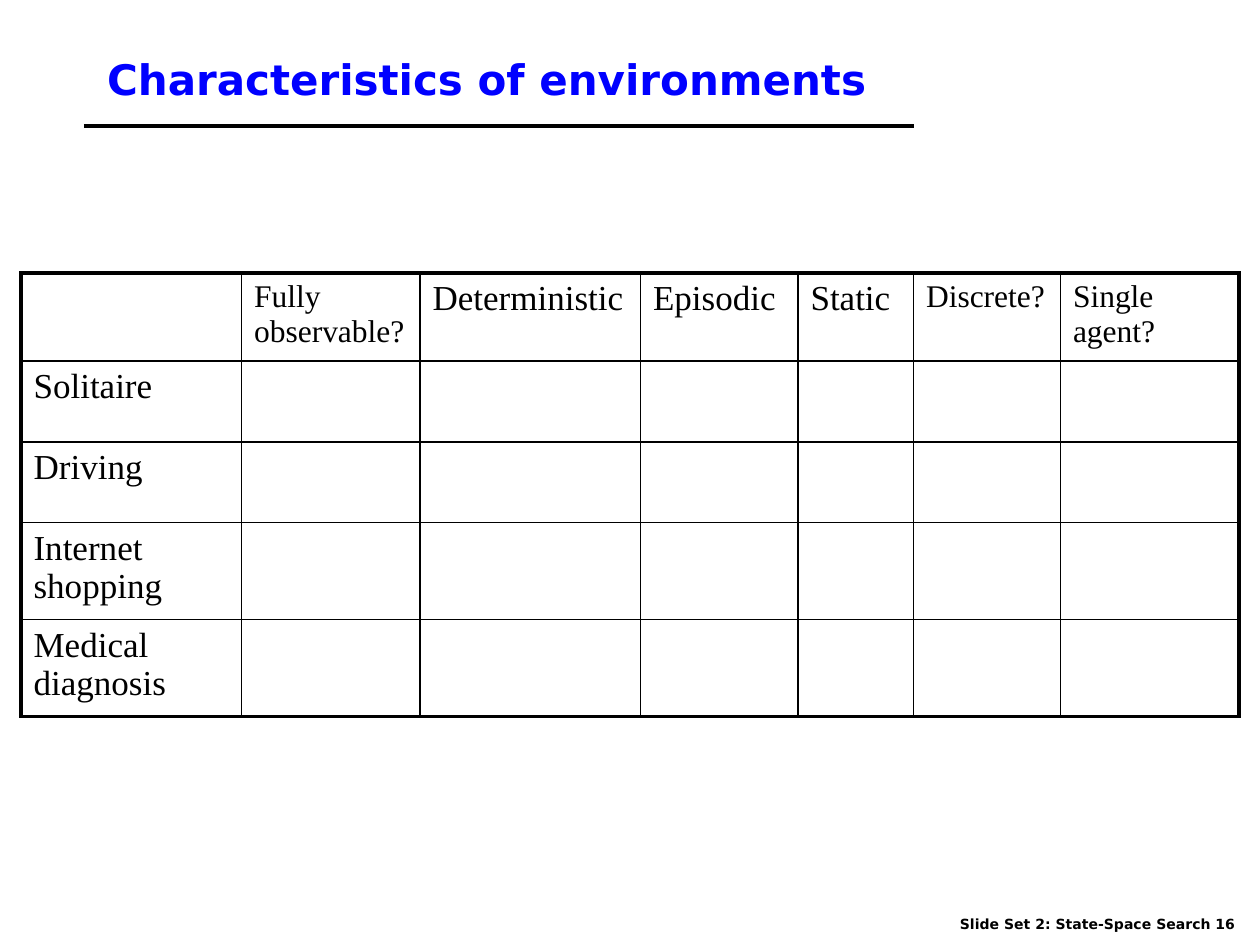
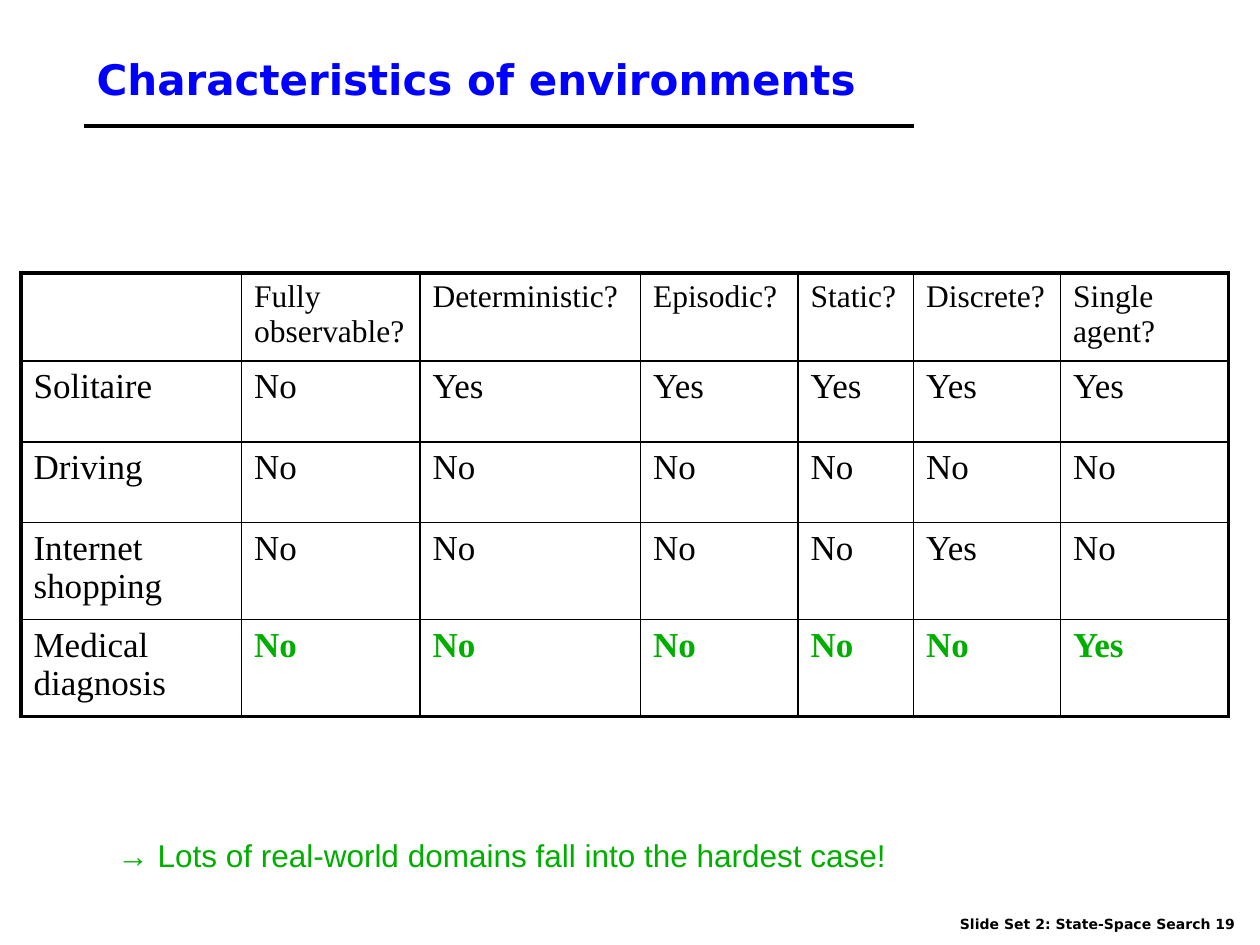
from lxml import etree
from pptx import Presentation
from pptx.dml.color import RGBColor
from pptx.enum.shapes import MSO_CONNECTOR
from pptx.enum.text import MSO_ANCHOR, MSO_AUTO_SIZE, PP_ALIGN
from pptx.oxml import parse_xml
from pptx.oxml.ns import nsdecls, qn
from pptx.util import Inches, Pt

LINE = MSO_CONNECTOR.STRAIGHT
LEFT, MIDDLE = PP_ALIGN.LEFT, MSO_ANCHOR.MIDDLE
FIT = MSO_AUTO_SIZE.SHAPE_TO_FIT_TEXT

BLACK, BLUE, GREEN = "000000", "0000FF", "00AE00"
SANS, SERIF, PLAIN = "DejaVu Sans", "Times New Roman", "Arial"
THICK, THIN = 2.25, 1
UNIT = Inches(1) // 12  # one grid column

ROWS = [0.7, 0.64, 0.64, 0.77, 0.77]
TASKS = ["Solitaire", "Driving", "Internet shopping", "Medical diagnosis"]

SLIDES = [
    dict(
        page=16, left=9, cols=[21, 17, 21, 15, 11, 14, 17], note="",
        heads=["Fully observable?", "Deterministic", "Episodic", "Static",
               "Discrete?", "Single agent?"],
        marks=[[""] * 6] * 4,
    ),
    dict(
        page=19, left=8, cols=[21, 17, 21, 15, 11, 14, 16],
        note="→ Lots of real-world domains fall into the hardest case!",
        heads=["Fully observable?", "Deterministic?", "Episodic?", "Static?",
               "Discrete?", "Single agent?"],
        marks=[["No"] + ["Yes"] * 5,
               ["No"] * 6,
               ["No"] * 4 + ["Yes", "No"],
               ["No"] * 5 + ["Yes"]],
    ),
]


def write(frame, text, font=SERIF, size=20, color=BLACK, bold=False):
    para = frame.paragraphs[0]
    para.alignment = LEFT
    run = para.add_run()
    run.text = text
    run.font.name = font
    run.font.size = Pt(size)
    run.font.bold = bold
    run.font.color.rgb = RGBColor.from_string(color)


def edge(cell, sides):
    """Draw the cell's borders; sides maps L, R, T, B to widths in points."""
    cell.fill.background()
    props = cell._tc.get_or_add_tcPr()
    for spot, (side, width) in enumerate(sides.items()):
        props.insert(spot, parse_xml(
            f'<a:ln{side} {nsdecls("a")} w="{Pt(width)}"><a:solidFill>'
            f'<a:srgbClr val="{BLACK}"/></a:solidFill></a:ln{side}>'))


deck = Presentation()
deck.slide_width, deck.slide_height = Inches(10), Inches(7.5)

for data in SLIDES:
    slide = deck.slides.add_slide(deck.slide_layouts[5])
    shapes = slide.shapes

    title = shapes.title
    title.left, title.top = data["left"] * UNIT, 3 * UNIT
    title.width, title.height = 102 * UNIT, 9 * UNIT
    title.text_frame.vertical_anchor = MIDDLE
    write(title.text_frame, "Characteristics of environments",
          font=SANS, size=24, color=BLUE, bold=True)

    rule = shapes.add_connector(LINE, 8 * UNIT, 12 * UNIT, 87 * UNIT, 12 * UNIT)
    rule.line.color.rgb = RGBColor.from_string(BLACK)
    rule.line.width = Pt(THICK)
    etree.SubElement(rule._element.spPr, qn("a:effectLst"))

    foot = shapes.add_textbox(Inches(7.52), Inches(7.22), Inches(2.43), Inches(0.23))
    foot.text_frame.word_wrap = False
    foot.text_frame.auto_size = FIT
    write(foot.text_frame, f"Slide Set 2: State-Space Search {data['page']}",
          font=SANS, size=8, bold=True)

    cols = data["cols"]
    table = shapes.add_table(len(ROWS), len(cols), 2 * UNIT, 26 * UNIT,
                             sum(cols) * UNIT, Inches(sum(ROWS))).table
    table.first_row = table.horz_banding = False
    for col, width in zip(table.columns, cols):
        col.width = width * UNIT
    for row, height in zip(table.rows, ROWS):
        row.height = Inches(height)

    grid = [["", *data["heads"]]]
    grid += [[task, *marks] for task, marks in zip(TASKS, data["marks"])]
    end, last = len(cols) - 1, len(ROWS) - 1
    for y, words in enumerate(grid):
        for x, word in enumerate(words):
            cell = table.cell(y, x)
            edge(cell, {"L": THICK if x == 0 else THIN,
                        "R": THICK if x == end else THIN,
                        "T": THICK if y == 0 else THIN,
                        "B": THICK if y == last else THIN})
            if word:
                hard = y == last and x > 0
                write(cell.text_frame, word, size=18 if word.endswith("?") else 20,
                      color=GREEN if hard else BLACK, bold=hard)

    if data["note"]:
        note = shapes.add_textbox(10 * UNIT, 79 * UNIT, 101 * UNIT, 6 * UNIT)
        note.text_frame.word_wrap = True
        write(note.text_frame, data["note"], font=PLAIN, size=18, color=GREEN)

deck.save("out.pptx")
